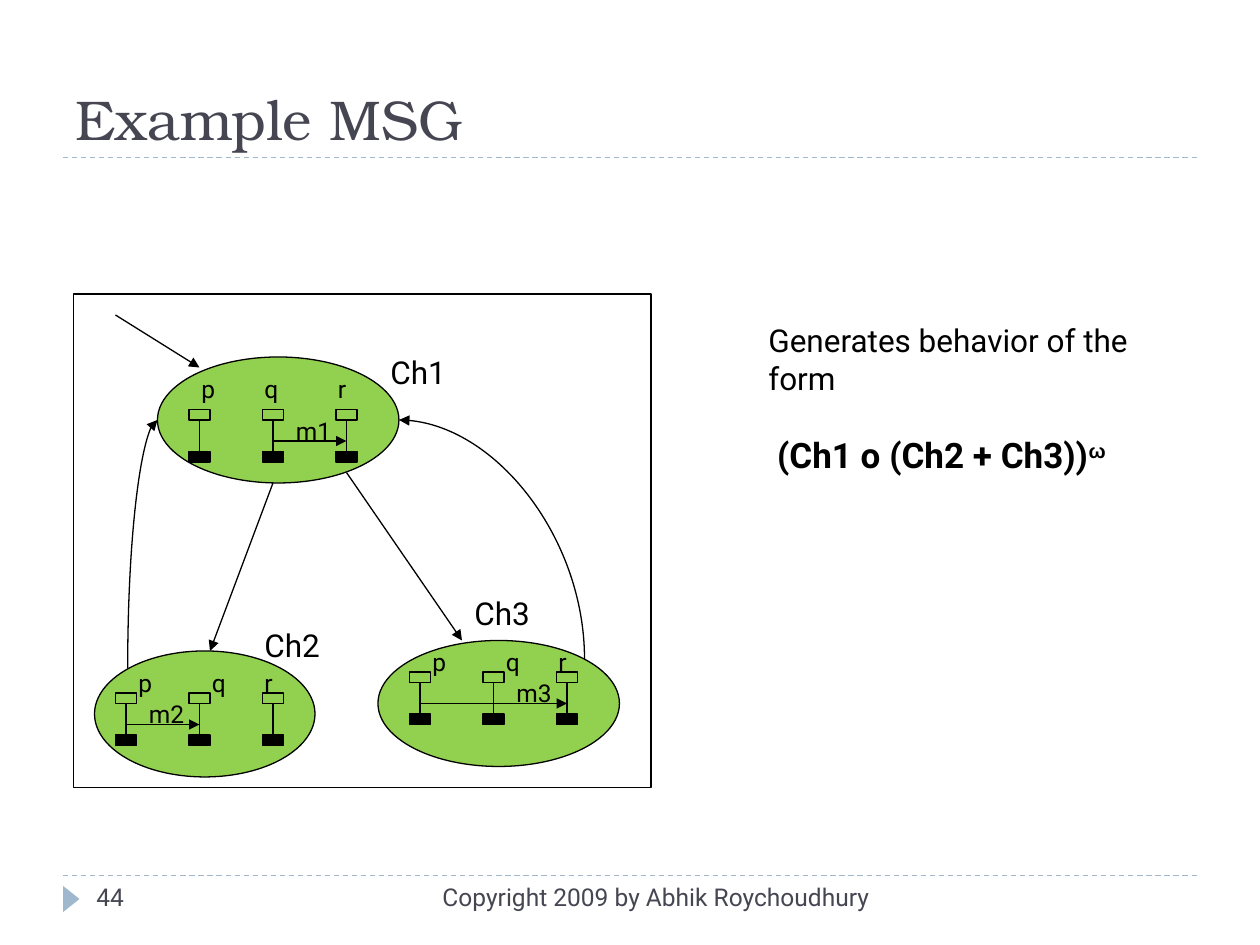
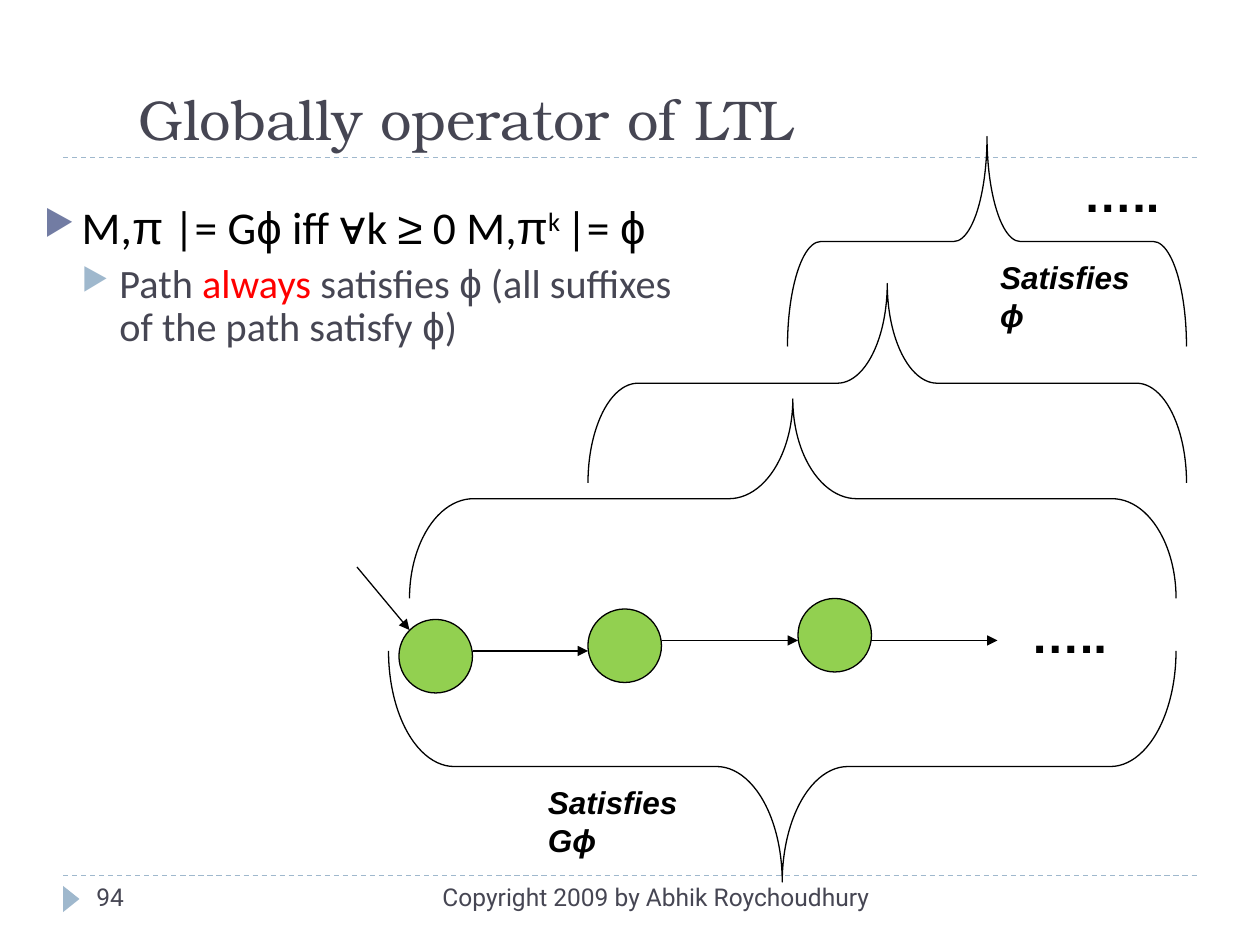
import pptx
import pptx.dml.color
import pptx.enum.dml
import pptx.enum.shapes
import pptx.enum.text
import pptx.oxml
import pptx.oxml.ns
import pptx.util

Pt = pptx.util.Pt
SHAPE = pptx.enum.shapes.MSO_SHAPE
CONNECTOR = pptx.enum.shapes.MSO_CONNECTOR
ALIGN = pptx.enum.text.PP_ALIGN
ANCHOR = pptx.enum.text.MSO_ANCHOR
DASH = pptx.enum.dml.MSO_LINE.DASH

# Shared look
BLACK, SLATE, PALE_BLUE, INDIGO, GREEN, RED = (
    "000000", "464653", "9FB8CD", "727CA3", "92D050", "FF0000")
TITLE = {"name": "TeX Gyre Bonum", "size": 32, "color": SLATE}
FOOTER = {"name": "Roboto", "size": 14, "color": SLATE}
SMALL = {"name": "Roboto", "size": 14, "color": BLACK}
LABEL = {**SMALL, "size": 18}
FORMULA = {**SMALL, "size": 20, "bold": True}
DOTS = {"name": "Arial", "size": 28, "color": BLACK, "bold": True}
CLAIM = {**DOTS, "size": 18, "italic": True}
RULES = (90, 500.4)
COPYRIGHT = "Copyright 2009 by Abhik Roychoudhury"

# Slide 1: charts of the message sequence graph
INSTANCES = ("p", "q", "r")
INSTANCE_GAP = 42
CHARTS = [
    {"name": ("Ch1", 216, 198), "node": (90, 204, 138, 72), "first": 114, "top": 234,
     "labels": (108, 144, 186), "label_top": 210, "message": ("m1", 1, 2, 162)},
    {"name": ("Ch2", 144, 354), "node": (54, 372, 126, 72), "first": 72, "top": 396,
     "labels": (72, 114, 144), "label_top": 378, "message": ("m2", 0, 1, 78)},
    {"name": ("Ch3", 264, 336), "node": (216, 366, 138, 72), "first": 240, "top": 384,
     "labels": (240, 282, 312), "label_top": 366, "message": ("m3", 0, 2, 288)},
]
GRAPH_FRAME = (42, 168, 330, 282)
GRAPH_ARROWS = [(66, 180, 114, 210), (156, 276, 120, 372), (198, 270, 264, 366)]
RETURN_CURVES = [(73, 382, 90, 240), (334, 376.5, 228, 240)]
BEHAVIOR = [
    {"runs": [("Generates behavior of the form", LABEL)]},
    {"runs": [("(Ch1 o (Ch2 + Ch3))", FORMULA),
              ("ω", {**FORMULA, "name": "Arial", "baseline": 30})],
     "format": {"space_before": Pt(21)}, "indent": (5, 0)},
]

# Slide 2: a path and its suffixes
RULE = {"name": "Calibri", "size": 26, "color": BLACK}
RULE_SYMBOL = {**RULE, "name": "Arial"}
NOTE = {**RULE, "size": 23, "color": SLATE}
NOTE_SYMBOL = {**NOTE, "name": "Arial"}
DEFINITION = [
    {"runs": [("M,", RULE), ("π", RULE_SYMBOL), (" |= G", RULE), ("ϕ", RULE_SYMBOL),
              (" iff ", RULE), ("∀", RULE_SYMBOL), ("k ", RULE), ("≥", RULE_SYMBOL),
              (" 0 M,", RULE), ("π", RULE_SYMBOL), ("k ", {**RULE, "baseline": 30}),
              ("|= ", RULE), ("ϕ", RULE_SYMBOL)],
     "format": {"line_spacing": 0.9}, "indent": (21.6, -21.6), "bullet": INDIGO},
    {"runs": [("Path ", NOTE), ("always", {**NOTE, "color": RED}), (" satisfies ", NOTE),
              ("ϕ", NOTE_SYMBOL), (" (all suffixes of the path satisfy ", NOTE),
              ("ϕ", NOTE_SYMBOL), (")", NOTE)],
     "format": {"line_spacing": 0.9, "space_before": Pt(5), "level": 1},
     "indent": (43.2, -21.6), "bullet": PALE_BLUE},
]
STATE_SIZE = 42
STATES = [(228, 354), (336, 348), (456, 342)]
PATH_ARROWS = [(204, 324, 234, 360), (270, 372, 336, 372),
               (378, 366, 456, 366), (498, 366, 570, 366)]
# left, top, length, depth, rotation (90 points up, 270 points down)
BRACES = [(450, 78, 228, 120, 90), (336, 162, 342, 114, 90),
          (234, 228, 438, 114, 90), (222, 372, 450, 132, 270)]
PATH_TEXTS = [("…..", (582, 342, 102, 41), DOTS), ("…..", (612, 90, 102, 41), DOTS),
              ("Satisfies Gϕ", (306, 444, 94, 52), CLAIM),
              ("Satisfies ϕ", (564.5, 144, 94, 52), CLAIM)]


def rgb(value):
    return pptx.dml.color.RGBColor.from_string(value)


def add_xml(parent, tag, **attributes):
    element = pptx.oxml.parse_xml(f"<a:{tag} {pptx.oxml.ns.nsdecls('a')}/>")
    for key, value in attributes.items():
        element.set(key, str(value))
    parent.append(element)
    return element


def add_run(paragraph, text, style):
    run = paragraph.add_run()
    run.text = text
    for key, value in style.items():
        if key == "color":
            run.font.color.rgb = rgb(value)
        elif key == "baseline":
            run.font._element.set("baseline", str(value * 1000))
        else:
            setattr(run.font, key, Pt(value) if key == "size" else value)


def add_text(slide, box, paragraphs, anchor=ANCHOR.TOP):
    frame = slide.shapes.add_textbox(*map(Pt, box)).text_frame
    frame.word_wrap = True
    frame.vertical_anchor = anchor
    for index, content in enumerate(paragraphs):
        paragraph = frame.add_paragraph() if index else frame.paragraphs[0]
        properties = paragraph._p.get_or_add_pPr()
        if "indent" in content:
            for key, value in zip(("marL", "indent"), content["indent"]):
                properties.set(key, str(int(Pt(value))))
        if "bullet" in content:
            add_xml(add_xml(properties, "buClr"), "srgbClr", val=content["bullet"])
            add_xml(properties, "buSzPct", val=76000)
            add_xml(properties, "buChar", char="▶")
        for key, value in content.get("format", {}).items():
            setattr(paragraph, key, value)
        for text, style in content["runs"]:
            add_run(paragraph, text, style)


def add_label(slide, text, box, style, anchor=ANCHOR.TOP, **settings):
    add_text(slide, box, [{"runs": [(text, style)], "format": settings}], anchor)


def add_shape(slide, kind, box, fill=None, line=BLACK):
    shape = slide.shapes.add_shape(kind, *map(Pt, box))
    shape.shadow.inherit = False
    if fill:
        shape.fill.solid()
        shape.fill.fore_color.rgb = rgb(fill)
    else:
        shape.fill.background()
    if line:
        shape.line.color.rgb = rgb(line)
        shape.line.width = Pt(0.75)
    else:
        shape.line.fill.background()
    return shape


def add_line(slide, points, color=BLACK, arrow=False, kind=CONNECTOR.STRAIGHT):
    connector = slide.shapes.add_connector(kind, *map(Pt, points))
    connector.line.color.rgb = rgb(color)
    connector.line.width = Pt(0.75)
    if arrow:
        add_xml(connector.line._get_or_add_ln(), "tailEnd", type="triangle")
    add_xml(connector._element.spPr, "effectLst")
    return connector


def add_return_curve(slide, start_x, start_y, end_x, end_y):
    """Leave the start upwards and reach the end sideways."""
    center_x, center_y = (start_x + end_x) / 2, (start_y + end_y) / 2
    side = 1 if end_x > start_x else -1
    half_width = side * abs(end_y - start_y) / 2
    half_height = abs(end_x - start_x) / 2
    points = (center_x + half_width, center_y + half_height,
              center_x - half_width, center_y - half_height)
    connector = add_line(slide, points, arrow=True, kind=CONNECTOR.CURVE)
    properties = connector._element.spPr
    properties.find(pptx.oxml.ns.qn("a:prstGeom")).set("prst", "curvedConnector2")
    properties.xfrm.set("rot", str((90 if side == 1 else 270) * 60000))


def add_brace(slide, left, top, length, depth, rotation):
    box = (left + (length - depth) / 2, top + (depth - length) / 2, depth, length)
    brace = add_shape(slide, SHAPE.LEFT_BRACE, box)
    brace.adjustments[0] = length / depth / 12
    brace.rotation = rotation


def add_base(presentation, title, title_box, number):
    slide = presentation.slides.add_slide(presentation.slide_layouts[6])
    for top in RULES:
        add_line(slide, (36, top, 684, top), PALE_BLUE).line.dash_style = DASH
    marker = add_shape(slide, SHAPE.ISOSCELES_TRIANGLE, (33.2, 509, 15, 9.4), PALE_BLUE, None)
    marker.rotation = 90
    add_label(slide, title, title_box, TITLE, ANCHOR.BOTTOM)
    add_label(slide, COPYRIGHT, (228, 500.4, 276, 28.8), FOOTER, alignment=ALIGN.RIGHT)
    add_label(slide, str(number), (48, 500.4, 156, 28.8), FOOTER)
    return slide


def add_chart_contents(slide, chart):
    top = chart["top"]
    centers = [chart["first"] + INSTANCE_GAP * index for index in range(len(INSTANCES))]
    # Lifelines
    for center, name, left in zip(centers, INSTANCES, chart["labels"]):
        head = add_shape(slide, SHAPE.RECTANGLE, (center - 6, top, 12, 6))
        foot = add_shape(slide, SHAPE.RECTANGLE, (center - 6, top + 24, 12, 6), BLACK)
        lifeline = add_line(slide, (center, top + 6, center, top + 30))
        lifeline.begin_connect(head, 2)
        lifeline.end_connect(foot, 2)
        add_label(slide, name, (left, chart["label_top"], 24, 24.5), SMALL)
    # Message
    message, sender, receiver, left = chart["message"]
    add_line(slide, (centers[sender], top + 18, centers[receiver], top + 18), arrow=True)
    add_label(slide, message, (left, top, 42, 24.5), SMALL)
    name, left, name_top = chart["name"]
    add_label(slide, name, (left, name_top, 60, 28.8), LABEL)


def build_graph_slide(presentation):
    slide = add_base(presentation, "Example MSG", (36, 12, 648, 78), 44)
    for chart in CHARTS:
        add_shape(slide, SHAPE.OVAL, chart["node"], GREEN)
    for arrow in GRAPH_ARROWS:
        add_line(slide, arrow, arrow=True)
    for curve in RETURN_CURVES:
        add_return_curve(slide, *curve)
    for chart in CHARTS:
        add_chart_contents(slide, chart)
    add_shape(slide, SHAPE.RECTANGLE, GRAPH_FRAME)
    add_text(slide, (432, 180, 246, 96), BEHAVIOR)


def build_path_slide(presentation):
    slide = add_base(presentation, "Globally operator of LTL", (72, 0, 612, 90), 94)
    add_text(slide, (18, 114, 390, 288), DEFINITION)
    for left, top in STATES:
        add_shape(slide, SHAPE.OVAL, (left, top, STATE_SIZE, STATE_SIZE), GREEN)
    for arrow in PATH_ARROWS:
        add_line(slide, arrow, arrow=True)
    for brace in BRACES:
        add_brace(slide, *brace)
    for text, box, style in PATH_TEXTS:
        add_label(slide, text, box, style)


def main():
    presentation = pptx.Presentation()
    presentation.slide_width, presentation.slide_height = Pt(720), Pt(540)
    build_graph_slide(presentation)
    build_path_slide(presentation)
    presentation.save("out.pptx")


if __name__ == "__main__":
    main()
